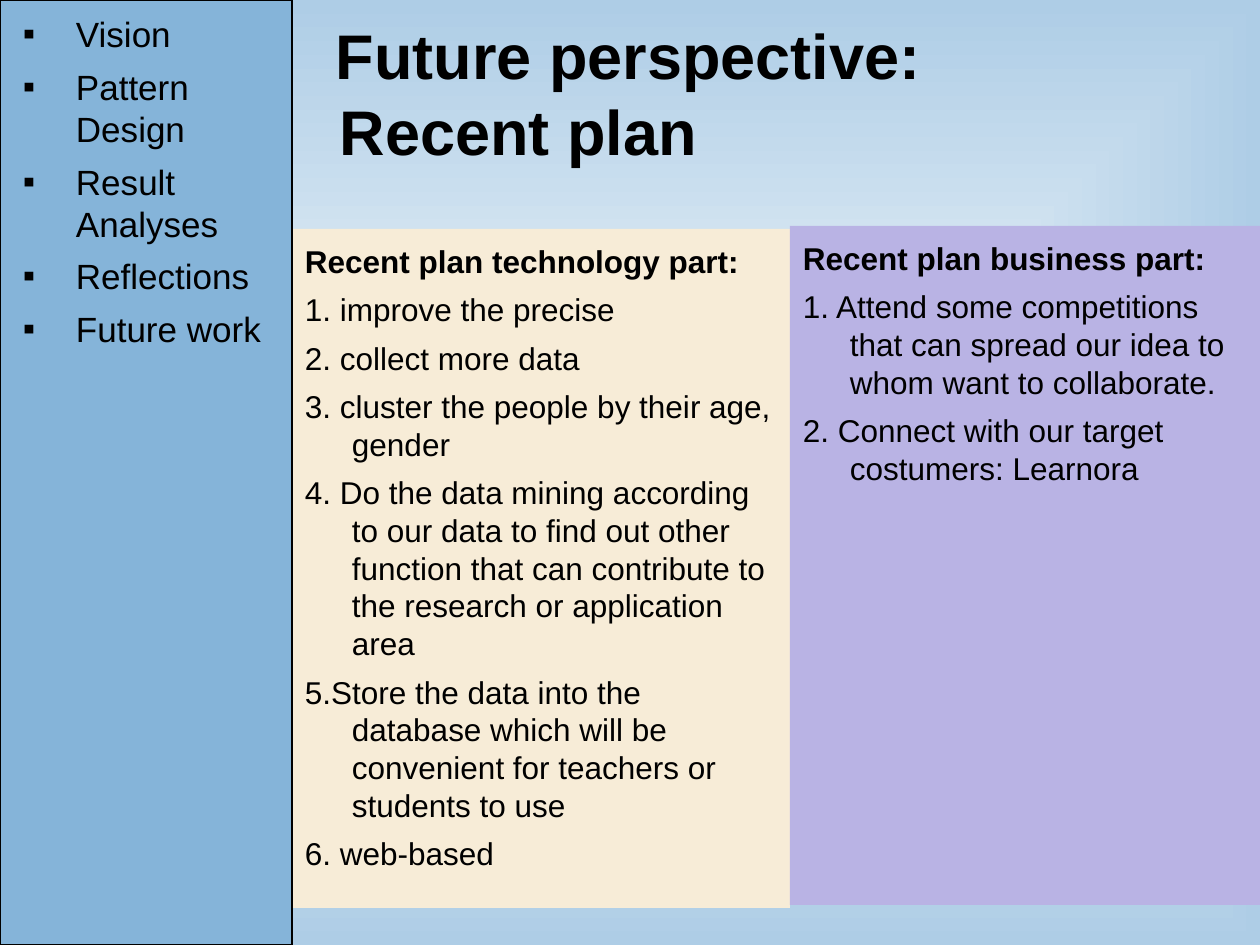
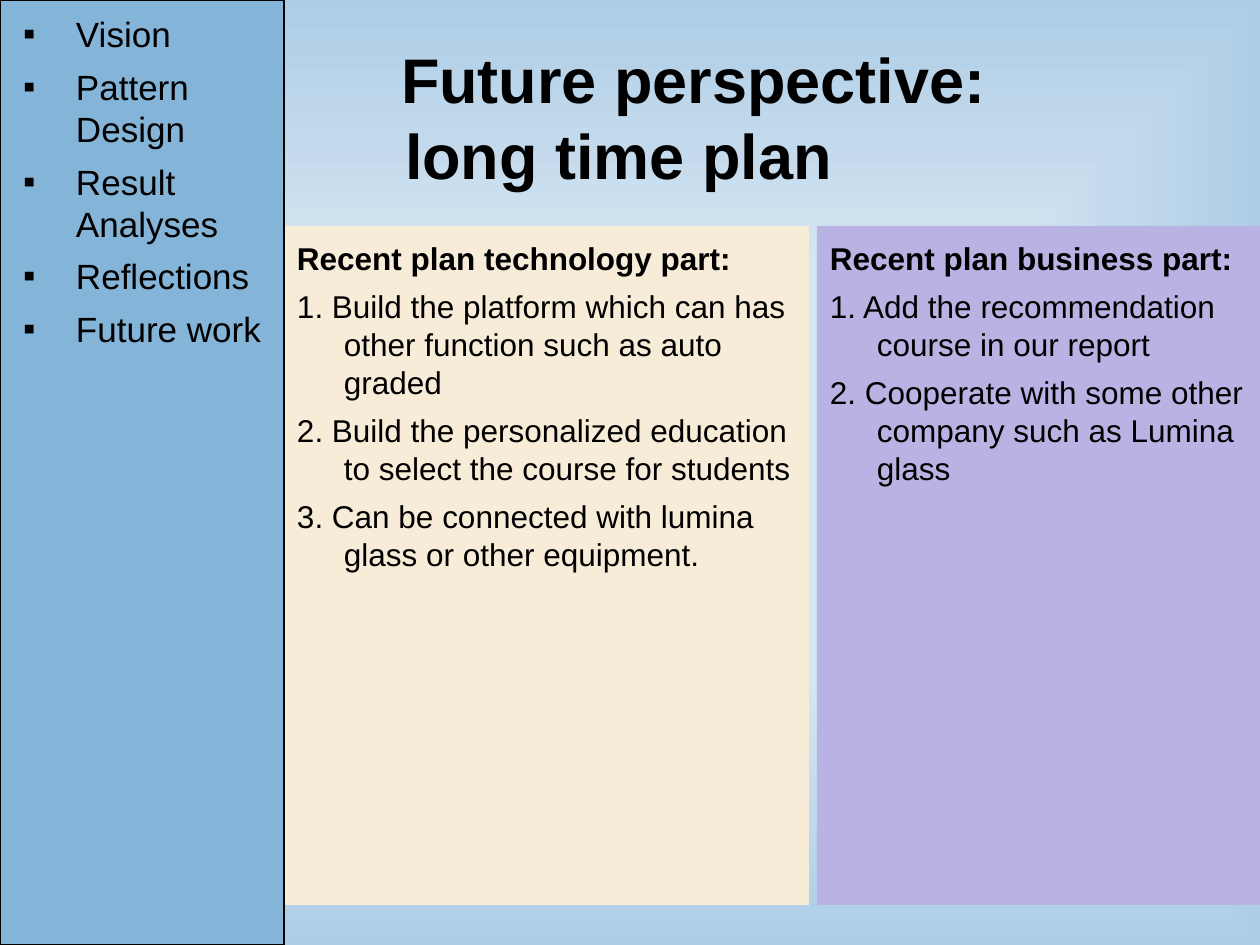
from lxml import etree
from pptx import Presentation
from pptx import util as u
from pptx.dml.color import RGBColor
from pptx.enum import shapes, text
from pptx.oxml import parse_xml
from pptx.oxml.ns import nsdecls, qn

BLACK = RGBColor(0x00, 0x00, 0x00)
SIDEBAR_BLUE = RGBColor(0x85, 0xB4, 0xD9)
CREAM = RGBColor(0xF7, 0xEC, 0xD7)
LILAC = RGBColor(0xB9, 0xB3, 0xE4)
GLOW = RGBColor(0xD6, 0xE6, 0xF2)
SKY = RGBColor(0xAE, 0xCD, 0xE6)

FONT = "Arial"
WIDTH, HEIGHT = 1260, 945
PANEL_HEIGHT = 679
TITLE_HEIGHT = 158
INSET = 13
TOPICS = ["Vision", "Pattern Design", "Result Analyses", "Reflections", "Future work"]

PLANS = [
    {
        "sidebar": 292,
        "title": (292, 23, ["Future perspective:", "Recent plan"]),
        "technology": (292, 229, 498, [
            "1. improve the precise",
            "2. collect more data",
            "3. cluster the people by their age, gender",
            "4. Do the data mining according to our data to find out other function "
            "that can contribute to the research or application area",
            "5.Store the data into the database which will be convenient for "
            "teachers or students to use",
            "6. web-based",
        ]),
        "business": (790, 226, 470, [
            "1. Attend some competitions that can spread our idea to whom want to collaborate.",
            "2. Connect with our target costumers: Learnora",
        ]),
    },
    {
        "sidebar": 284,
        "title": (357, 47, ["Future perspective:", "long time plan"]),
        "technology": (284, 226, 525, [
            "1. Build the platform which can has other function such as auto graded",
            "2. Build the personalized education to select the course for students",
            "3. Can be connected with lumina glass or other equipment.",
        ]),
        "business": (817, 226, 443, [
            "1. Add the recommendation course in our report",
            "2. Cooperate with some other company such as Lumina glass",
        ]),
    },
]


def px(length):
    return u.Emu(round(length * 914400 / 126))


def set_background(master):
    master.background.fill.gradient()
    gradient = master.element.find(".//" + qn("p:bgPr")).find(qn("a:gradFill"))
    gradient.getparent().replace(gradient, parse_xml(
        f'<a:gradFill {nsdecls("a")} rotWithShape="1"><a:gsLst>'
        f'<a:gs pos="0"><a:srgbClr val="{GLOW}"><a:alpha val="92000"/></a:srgbClr></a:gs>'
        f'<a:gs pos="42000"><a:srgbClr val="{GLOW}"><a:alpha val="92000"/></a:srgbClr></a:gs>'
        f'<a:gs pos="100000"><a:srgbClr val="{SKY}"/></a:gs></a:gsLst>'
        '<a:path path="rect"><a:fillToRect l="50000" t="50000" r="50000" b="50000"/></a:path>'
        '</a:gradFill>'))


def prepare_frame(box, anchor):
    frame = box.text_frame
    frame.word_wrap = True
    frame.auto_size = text.MSO_AUTO_SIZE.NONE
    frame.vertical_anchor = anchor
    frame.margin_left = frame.margin_right = px(INSET)
    frame.margin_top = frame.margin_bottom = px(INSET)
    return frame


def add_para(frame, words, size, bold=False, margin=0, indent=0, gap=0, bullet=None):
    first = not frame.paragraphs[0].runs
    para = frame.paragraphs[0] if first else frame.add_paragraph()
    para.alignment = text.PP_ALIGN.LEFT
    para.line_spacing = u.Pt(size * 1.2)
    para.space_before = u.Pt(0 if first else gap)
    properties = para._p.get_or_add_pPr()
    properties.set("marL", str(px(margin)))
    properties.set("indent", str(px(indent)))
    if bullet:
        color = etree.SubElement(properties, qn("a:buClr"))
        etree.SubElement(color, qn("a:srgbClr"), val=str(BLACK))
        etree.SubElement(properties, qn("a:buFont"), typeface=FONT)
        etree.SubElement(properties, qn("a:buChar"), char=bullet)
    span = para.add_run()
    span.text = words
    span.font.name = FONT
    span.font.size = u.Pt(size)
    span.font.bold = bold
    span.font.color.rgb = BLACK


def add_block(page, left, top, width, height, color):
    box = page.shapes.add_shape(
        shapes.MSO_SHAPE.RECTANGLE, px(left), px(top), px(width), px(height))
    box.shadow.inherit = False
    box.fill.solid()
    box.fill.fore_color.rgb = color
    box.line.fill.background()
    return box


def add_title(page, left, top, lines):
    box = page.shapes.add_textbox(px(left), px(top), px(WIDTH - left), px(TITLE_HEIGHT))
    frame = prepare_frame(box, text.MSO_ANCHOR.BOTTOM)
    for line, indent in zip(lines, (31, 35)):
        add_para(frame, line, 36, bold=True, indent=indent)


def add_panel(page, part, color, left, top, width, items):
    box = add_block(page, left, top, width, PANEL_HEIGHT, color)
    frame = prepare_frame(box, text.MSO_ANCHOR.TOP)
    for number, words in enumerate([f"Recent plan {part} part:", *items]):
        add_para(frame, words, 18, bold=number == 0, margin=47, indent=-47, gap=6)


def add_sidebar(page, width):
    box = add_block(page, 0, 0, width, HEIGHT, SIDEBAR_BLUE)
    box.line.color.rgb = BLACK
    box.line.width = u.Pt(0.75)
    frame = prepare_frame(box, text.MSO_ANCHOR.TOP)
    for topic in TOPICS:
        add_para(frame, topic, 20, margin=63, indent=-53, gap=6, bullet="▪")


def add_plan(deck, plan):
    page = deck.slides.add_slide(deck.slide_layouts[6])
    add_title(page, *plan["title"])
    add_panel(page, "technology", CREAM, *plan["technology"])
    add_panel(page, "business", LILAC, *plan["business"])
    add_sidebar(page, plan["sidebar"])


def main():
    deck = Presentation()
    deck.slide_width, deck.slide_height = px(WIDTH), px(HEIGHT)
    set_background(deck.slide_master)
    for plan in PLANS:
        add_plan(deck, plan)
    deck.save("out.pptx")


if __name__ == "__main__":
    main()
